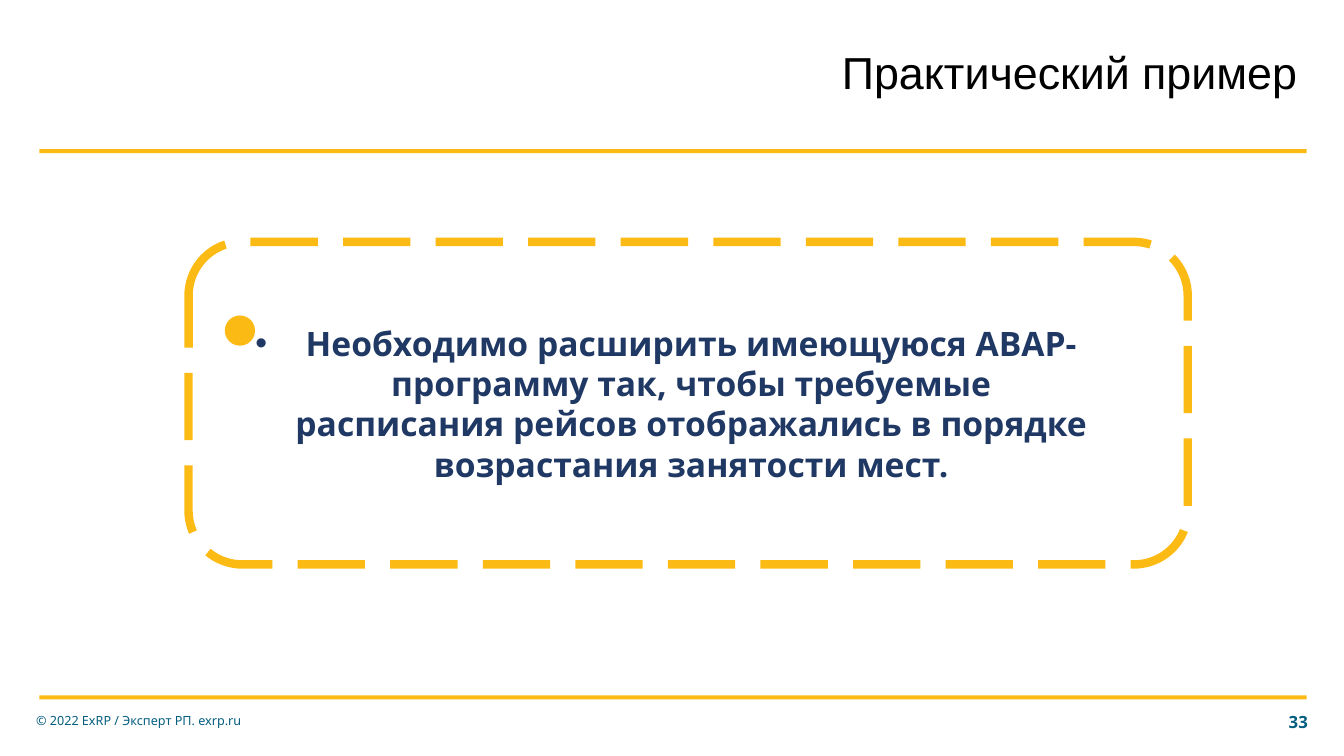
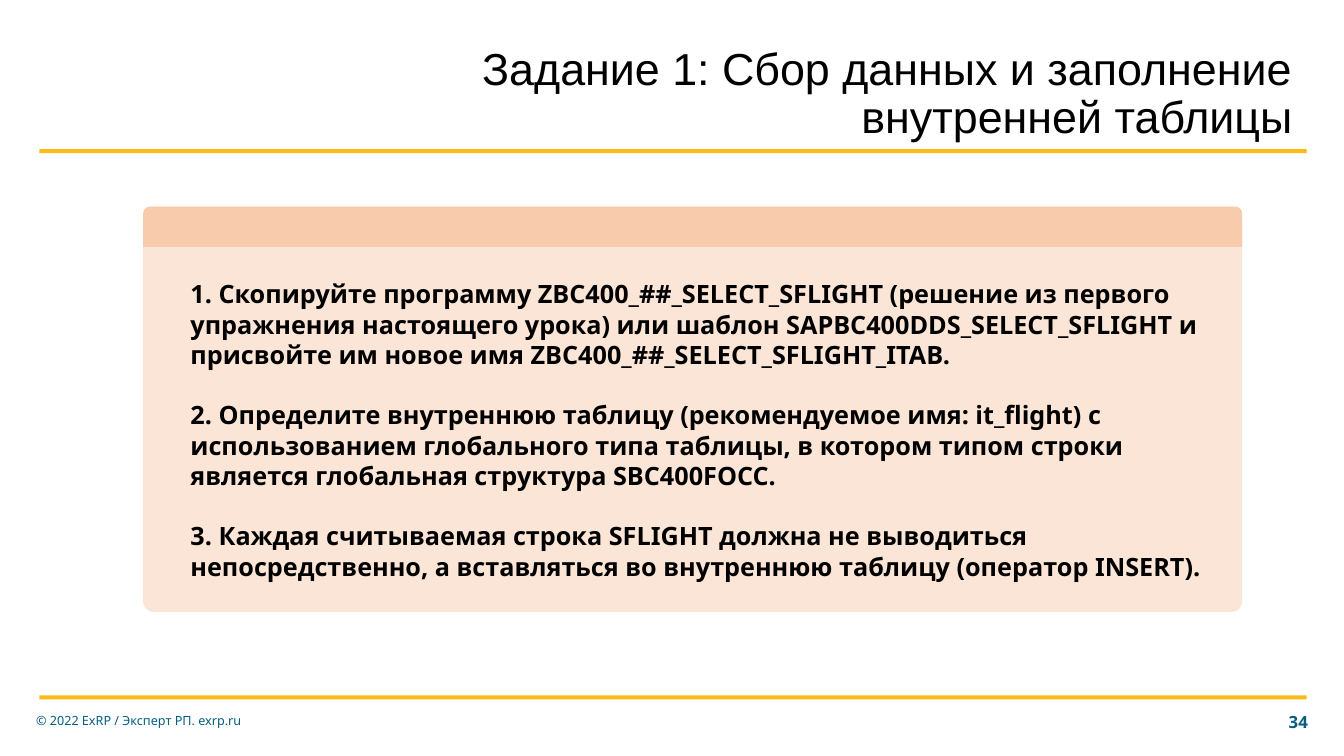
from dataclasses import dataclass

from lxml import etree
from pptx import Presentation
from pptx.dml.color import RGBColor
from pptx.enum.dml import MSO_LINE
from pptx.enum.shapes import MSO_SHAPE
from pptx.enum.text import MSO_ANCHOR, PP_ALIGN
from pptx.oxml.ns import qn
from pptx.util import Inches, Pt

LEFT, CENTER, RIGHT = PP_ALIGN.LEFT, PP_ALIGN.CENTER, PP_ALIGN.RIGHT
MIDDLE = MSO_ANCHOR.MIDDLE
LONG_DASH = MSO_LINE.LONG_DASH
RECTANGLE = MSO_SHAPE.RECTANGLE
ROUNDED = MSO_SHAPE.ROUNDED_RECTANGLE
ROUND_TOP = MSO_SHAPE.ROUND_2_SAME_RECTANGLE
OVAL = MSO_SHAPE.OVAL
BLANK_LAYOUT = 6


@dataclass(frozen=True)
class Theme:
    gold: str = "FCBA14"
    teal: str = "055E80"
    navy: str = "203864"
    black: str = "000000"
    peach: str = "FBE5D6"
    apricot: str = "F8CBAD"
    title_font: str = "Arial"
    body_font: str = "Noto Sans"
    title_size: float = 32
    lead_size: float = 24
    task_size: float = 18
    number_size: float = 12
    footer_size: float = 9


@dataclass(frozen=True)
class Area:
    left: float
    top: float
    width: float
    height: float

    def lengths(self) -> tuple:
        return tuple(Inches(v) for v in (self.left, self.top, self.width, self.height))


@dataclass(frozen=True)
class TextStyle:
    font: str
    size: float
    color: str
    bold: bool = False
    align: PP_ALIGN = LEFT
    line_spacing: object = None
    gap: float = 0
    margins: tuple = (0.1, 0.05, 0.1, 0.05)
    bullet: str = ""


THEME = Theme()
TITLE_MARGINS = (0, 0, 0.1, 0.05)
BODY_MARGINS = (0.1, 0.05, 0, 0.05)
TITLE = TextStyle(THEME.title_font, THEME.title_size, THEME.black, align=RIGHT,
                  line_spacing=0.9, margins=TITLE_MARGINS)
NUMBER = TextStyle(THEME.body_font, THEME.number_size, THEME.teal, True, RIGHT)
FOOTER = TextStyle(THEME.body_font, THEME.footer_size, THEME.teal)
LEAD = TextStyle(THEME.body_font, THEME.lead_size, THEME.navy, True, CENTER,
                 Pt(28.8), margins=BODY_MARGINS, bullet="•")
TASK = TextStyle(THEME.body_font, THEME.task_size, THEME.black, True,
                 line_spacing=Pt(21.6), gap=21.6, margins=BODY_MARGINS)

RULES = [Area(0.39, top, 12.57, 0.04) for top in (1.48, 6.9)]
COPYRIGHT = "© 2022 ExRP / Эксперт РП. exrp.ru"
EXAMPLE = (
    "Необходимо расширить имеющуюся ABAP-программу так, чтобы требуемые "
    "расписания рейсов отображались в порядке возрастания занятости мест."
)
TASKS = [
    "1. Скопируйте программу ZBC400_##_SELECT_SFLIGHT (решение из первого "
    "упражнения настоящего урока) или шаблон SAPBC400DDS_SELECT_SFLIGHT и "
    "присвойте им новое имя ZBC400_##_SELECT_SFLIGHT_ITAB.",
    "2. Определите внутреннюю таблицу (рекомендуемое имя: it_flight) с "
    "использованием глобального типа таблицы, в котором типом строки "
    "является глобальная структура SBC400FOCC.",
    "3. Каждая считываемая строка SFLIGHT должна не выводиться "
    "непосредственно, а вставляться во внутреннюю таблицу (оператор INSERT).",
]


def apply_format(target, values: dict) -> None:
    for name, value in values.items():
        setattr(target, name, value)


def add_bullet(para, character: str) -> None:
    properties = para._p.get_or_add_pPr()
    properties.set("marL", str(Inches(0.5)))
    properties.set("indent", str(Inches(-0.5)))
    etree.SubElement(properties, qn("a:buFont")).set("typeface", "Arial")
    etree.SubElement(properties, qn("a:buChar")).set("char", character)


def add_text(page, area: Area, texts: list[str], style: TextStyle) -> None:
    frame = page.shapes.add_textbox(*area.lengths()).text_frame
    left, top, right, bottom = (Inches(margin) for margin in style.margins)
    apply_format(frame, {
        "word_wrap": True, "vertical_anchor": MIDDLE,
        "margin_left": left, "margin_top": top,
        "margin_right": right, "margin_bottom": bottom,
    })
    for index, text in enumerate(texts):
        para = frame.add_paragraph() if index else frame.paragraphs[0]
        if style.bullet:
            add_bullet(para, style.bullet)
        apply_format(para, {"alignment": style.align, "line_spacing": style.line_spacing})
        if index:
            para.space_before = Pt(style.gap)
        span = para.add_run()
        span.text = text
        apply_format(span.font, {
            "name": style.font, "size": Pt(style.size), "bold": style.bold,
        })
        span.font.color.rgb = RGBColor.from_string(style.color)


def add_filled(page, kind: MSO_SHAPE, area: Area, color: str):
    box = page.shapes.add_shape(kind, *area.lengths())
    box.shadow.inherit = False
    box.fill.solid()
    box.fill.fore_color.rgb = RGBColor.from_string(color)
    box.line.fill.background()
    return box


def add_dashed_frame(page, area: Area) -> None:
    box = page.shapes.add_shape(ROUNDED, *area.lengths())
    box.shadow.inherit = False
    box.fill.background()
    box.line.color.rgb = RGBColor.from_string(THEME.gold)
    apply_format(box.line, {"width": Pt(6), "dash_style": LONG_DASH})


def add_page(deck, number: int, title: str, title_area: Area):
    page = deck.slides.add_slide(deck.slide_layouts[BLANK_LAYOUT])
    for rule in RULES:
        add_filled(page, RECTANGLE, rule, THEME.gold)
    add_text(page, Area(12.42, 6.96, 0.65, 0.4), [str(number)], NUMBER)
    add_text(page, Area(0.26, 6.95, 2.85, 0.4), [COPYRIGHT], FOOTER)
    add_text(page, title_area, [title], TITLE)
    return page


def build_example(deck) -> None:
    page = add_page(deck, 33, "Практический пример", Area(7.39, 0.49, 5.58, 0.55))
    add_text(page, Area(2.25, 3.14, 8.61, 1.72), [EXAMPLE], LEAD)
    add_dashed_frame(page, Area(1.87, 2.4, 9.91, 3.2))
    add_filled(page, OVAL, Area(2.23, 3.13, 0.3, 0.3), THEME.gold)


def build_task(deck) -> None:
    page = add_page(deck, 34, "Задание 1: Сбор данных и заполнение внутренней таблицы",
                    Area(3.93, 0.45, 8.99, 1.03))
    card = Area(1.42, 2.05, 10.9, 4.02)
    panel = add_filled(page, ROUNDED, card, THEME.peach)
    panel.adjustments[0] = 0.026
    add_text(page, Area(1.79, 2.7, 10.58, 3.13), TASKS, TASK)
    add_filled(page, ROUND_TOP, Area(card.left, card.top, card.width, 0.4), THEME.apricot)


def main() -> None:
    deck = Presentation()
    apply_format(deck, {"slide_width": Inches(13.33), "slide_height": Inches(7.5)})
    build_example(deck)
    build_task(deck)
    deck.save("out.pptx")


if __name__ == "__main__":
    main()
